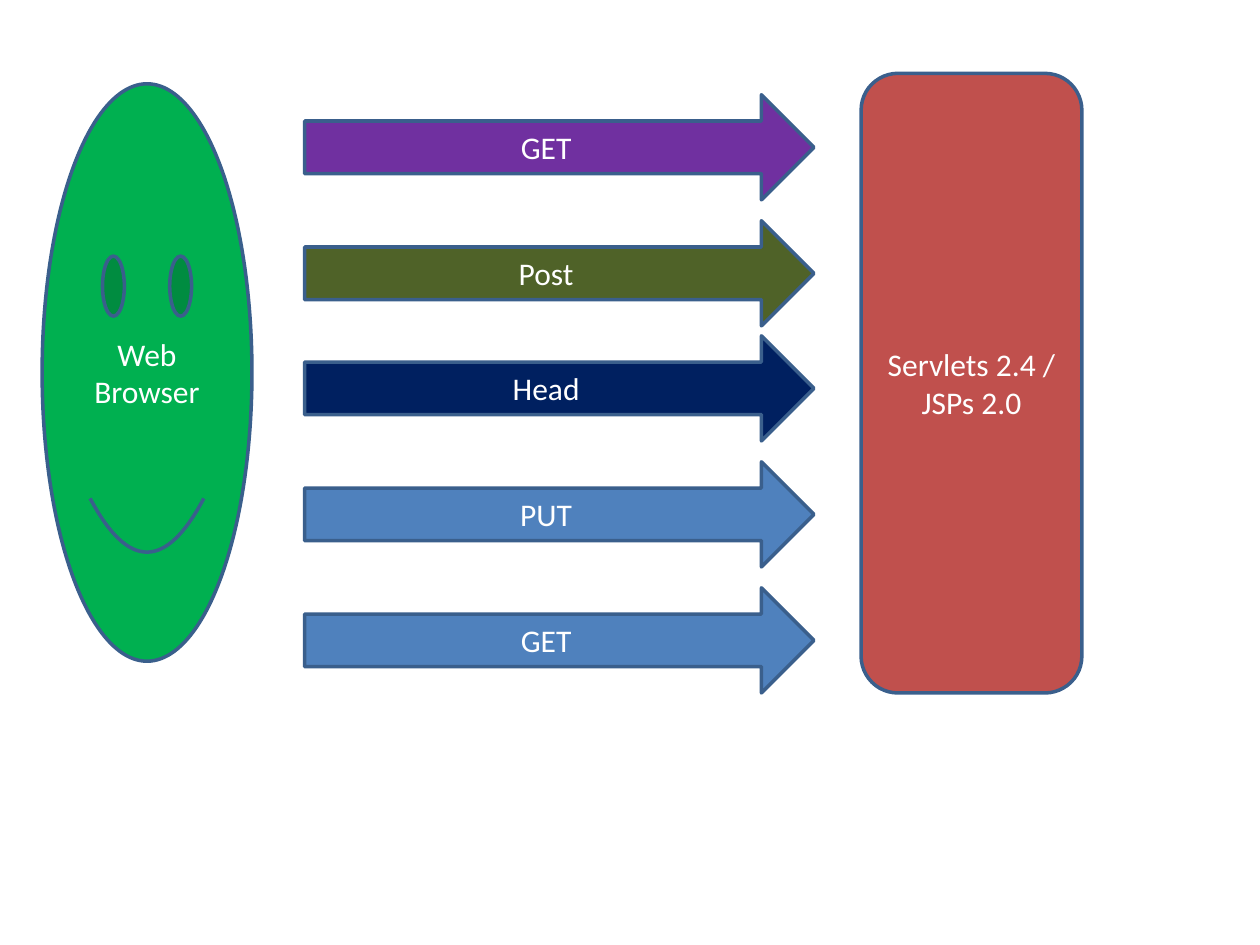
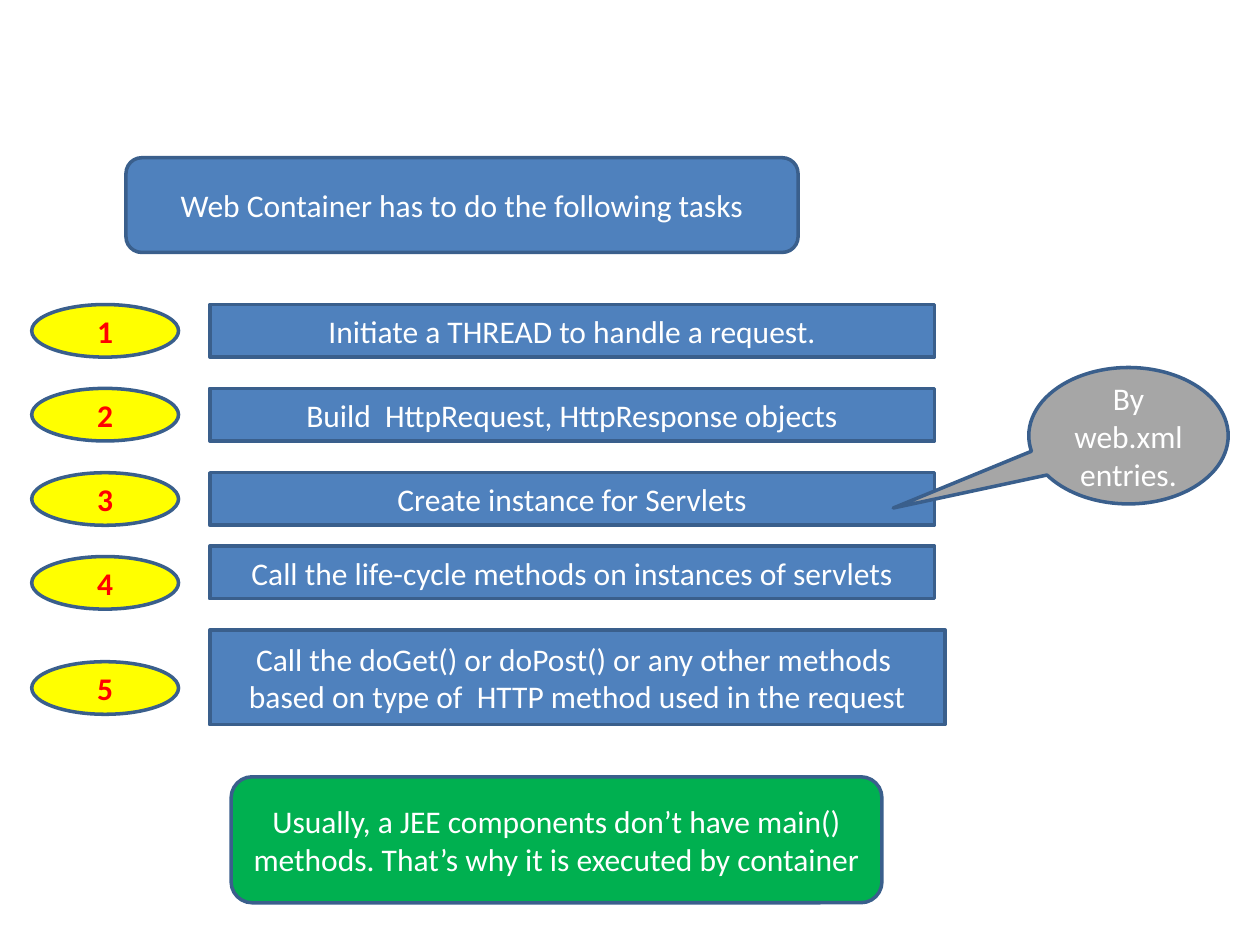
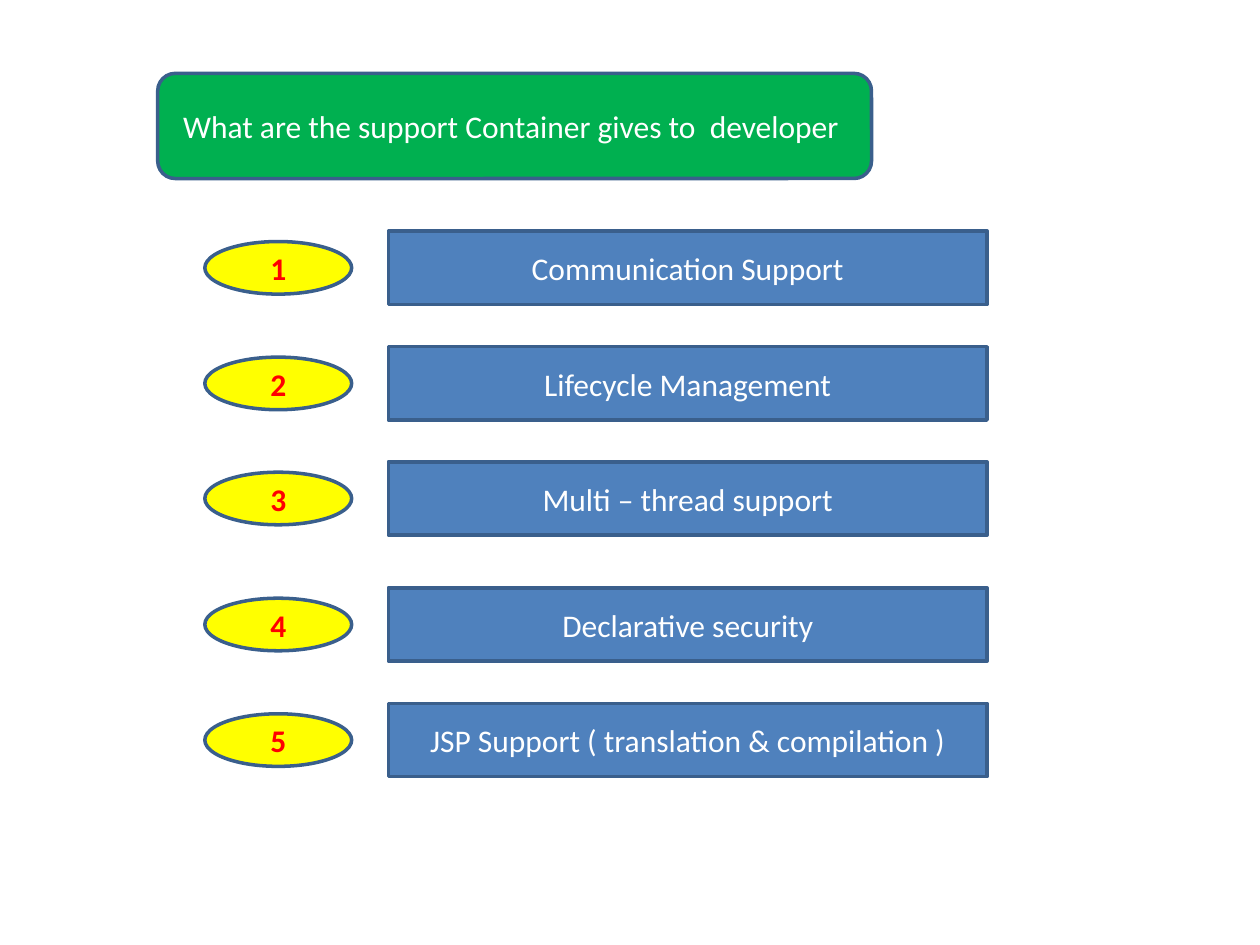
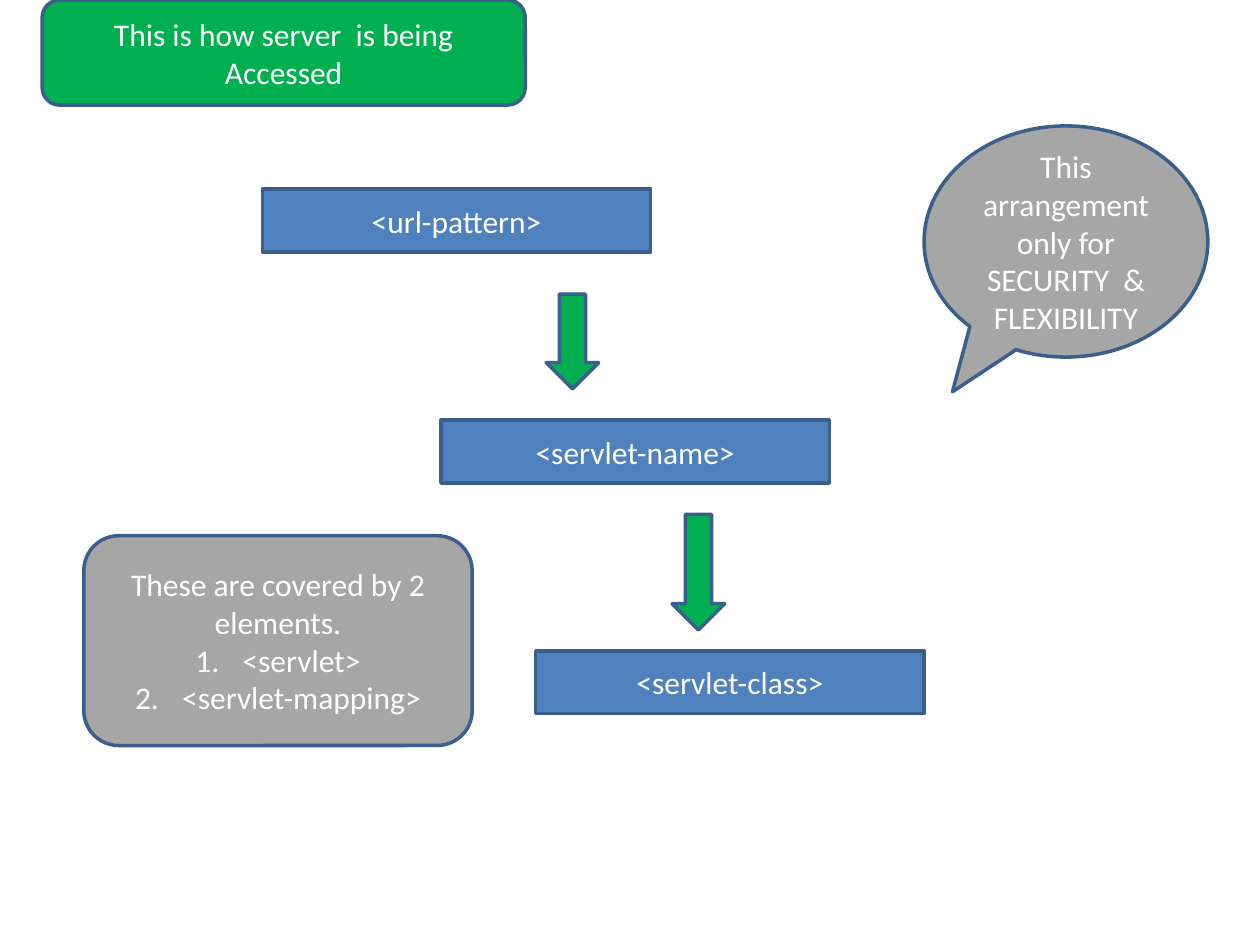
from dataclasses import dataclass

from lxml.etree import SubElement
from pptx import Presentation
from pptx.dml.color import RGBColor
from pptx.enum.shapes import MSO_SHAPE
from pptx.enum.text import MSO_ANCHOR, PP_ALIGN
from pptx.oxml.ns import qn
from pptx.slide import Slide
from pptx.text.text import _Paragraph as Paragraph
from pptx.util import Cm, Pt


@dataclass(frozen=True)
class Theme:
    blue: str = "4F81BD"
    green: str = "00B050"
    red: str = "C0504D"
    purple: str = "7030A0"
    olive: str = "4F6228"
    navy: str = "002060"
    gray: str = "A6A6A6"
    yellow: str = "FFFF00"
    outline: str = "3A5F8C"
    text: str = "FFFFFF"
    number_text: str = "FF0000"
    font: str = "Calibri"
    text_size: float = 18
    outline_width: float = 2


THEME = Theme()


@dataclass(frozen=True)
class Box:
    """A filled, outlined shape; lengths are centimetres."""
    left: float
    top: float
    width: float
    height: float
    text: str = ""
    fill: str = THEME.blue
    kind: MSO_SHAPE = MSO_SHAPE.RECTANGLE
    text_color: str = THEME.text
    bold: bool = False
    adjustments: tuple[float, ...] = ()
    numbered: tuple[str, ...] = ()


# Shared drawing functions

def number_paragraph(paragraph: Paragraph) -> None:
    properties = paragraph._p.get_or_add_pPr()
    indent = Cm(0.95)
    properties.set("marL", str(indent))
    properties.set("indent", str(-indent))
    SubElement(properties, qn("a:buAutoNum"), type="arabicPeriod")


def write_paragraph(paragraph: Paragraph, text: str, box: Box) -> None:
    paragraph.alignment = PP_ALIGN.CENTER
    run = paragraph.add_run()
    run.text = text
    run.font.name = THEME.font
    run.font.size = Pt(THEME.text_size)
    run.font.bold = box.bold
    run.font.color.rgb = RGBColor.from_string(box.text_color)


def draw_box(slide: Slide, box: Box) -> None:
    shape = slide.shapes.add_shape(
        box.kind, Cm(box.left), Cm(box.top), Cm(box.width), Cm(box.height))
    shape.shadow.inherit = False
    shape.fill.solid()
    shape.fill.fore_color.rgb = RGBColor.from_string(box.fill)
    shape.line.color.rgb = RGBColor.from_string(THEME.outline)
    shape.line.width = Pt(THEME.outline_width)
    for index, value in enumerate(box.adjustments):
        shape.adjustments[index] = value
    if not box.text:
        return
    frame = shape.text_frame
    frame.word_wrap = True
    frame.vertical_anchor = MSO_ANCHOR.MIDDLE
    write_paragraph(frame.paragraphs[0], box.text, box)
    for item in box.numbered:
        paragraph = frame.add_paragraph()
        number_paragraph(paragraph)
        write_paragraph(paragraph, item, box)


def draw_number(slide: Slide, left: float, top: float, number: int) -> None:
    draw_box(slide, Box(left, top, 2.96, 1.06, str(number), THEME.yellow,
                        MSO_SHAPE.OVAL, THEME.number_text, bold=True))


# Slide 1: request methods from browser to servlets

def build_request_methods(slide: Slide) -> None:
    draw_box(slide, Box(17.36, 1.48, 4.45, 12.49, "Servlets 2.4 / JSPs 2.0",
                        THEME.red, MSO_SHAPE.ROUNDED_RECTANGLE))
    draw_box(slide, Box(0.85, 1.69, 4.23, 11.64, "Web Browser",
                        THEME.green, MSO_SHAPE.SMILEY_FACE))
    methods = (
        (1.91, "GET", THEME.purple),
        (4.45, "Post", THEME.olive),
        (6.77, "Head", THEME.navy),
        (9.31, "PUT", THEME.blue),
        (11.85, "GET", THEME.blue),
    )
    for top, method, color in methods:
        draw_box(slide, Box(6.14, top, 10.27, 2.12, method, color,
                            MSO_SHAPE.RIGHT_ARROW))


# Slide 2: tasks of the web container

def build_container_tasks(slide: Slide) -> None:
    draw_box(slide, Box(2.54, 3.18, 13.55, 1.91,
                        "Web Container has to do the following tasks",
                        kind=MSO_SHAPE.ROUNDED_RECTANGLE))
    left, width, height = 4.23, 14.61, 1.06
    tasks = (
        Box(left, 6.14, width, height, "Initiate a THREAD to handle a request."),
        Box(left, 7.83, width, height, "Build  HttpRequest, HttpResponse objects"),
        Box(left, 9.53, width, height, "Create instance for Servlets"),
        Box(left, 11.01, width, height,
            "Call the life-cycle methods on instances of servlets"),
        Box(left, 12.7, 14.82, 1.91,
            "Call the doGet() or doPost() or any other methods  "
            "based on type of  HTTP method used in the request"),
    )
    number_tops = (6.14, 7.83, 9.53, 11.22, 13.34)
    for number, (task, top) in enumerate(zip(tasks, number_tops), start=1):
        draw_box(slide, task)
        draw_number(slide, 0.64, top, number)
    draw_box(slide, Box(20.74, 7.41, 4.02, 2.75, "By web.xml entries.", THEME.gray,
                        MSO_SHAPE.OVAL_CALLOUT, adjustments=(-1.18, 0.53)))
    draw_box(slide, Box(4.66, 15.66, 13.12, 2.54,
                        "Usually, a JEE components don’t have main() methods. "
                        "That’s why it is executed by container",
                        THEME.green, MSO_SHAPE.FLOWCHART_ALTERNATE_PROCESS))


# Slide 3: support given to the developer

def build_container_support(slide: Slide) -> None:
    draw_box(slide, Box(3.18, 1.48, 14.39, 2.12,
                        "What are the support Container gives to  developer ",
                        THEME.green, MSO_SHAPE.ROUNDED_RECTANGLE))
    supports = (
        (4.66, "Communication Support"),
        (6.99, "Lifecycle Management"),
        (9.31, "Multi – thread support"),
        (11.85, "Declarative security"),
        (14.18, "JSP Support ( translation & compilation )"),
    )
    for number, (top, support) in enumerate(supports, start=1):
        draw_box(slide, Box(7.83, top, 12.07, 1.48, support))
        draw_number(slide, 4.13, top + 0.21, number)


# Slide 4: from URL pattern to servlet class

def build_server_access(slide: Slide) -> None:
    draw_box(slide, Box(0.85, 0, 9.74, 2.12, "This is how server  is being Accessed",
                        THEME.green, MSO_SHAPE.ROUNDED_RECTANGLE))
    elements = (
        (5.29, 3.81, "<url-pattern>"),
        (8.89, 8.47, "<servlet-name>"),
        (10.8, 13.12, "<servlet-class>"),
    )
    for left, top, element in elements:
        draw_box(slide, Box(left, top, 7.83, 1.27, element))
    for left, top, height in ((11.01, 5.93, 1.91), (13.55, 10.37, 2.33)):
        draw_box(slide, Box(left, top, 1.06, height, fill=THEME.green,
                            kind=MSO_SHAPE.DOWN_ARROW))
    draw_box(slide, Box(18.63, 2.54, 5.72, 4.66,
                        "This arrangement only for SECURITY  & FLEXIBILITY", THEME.gray,
                        MSO_SHAPE.OVAL_CALLOUT, adjustments=(-0.4, 0.65)))
    draw_box(slide, Box(1.69, 10.8, 7.83, 4.23, "These are covered by 2 elements.",
                        THEME.gray, MSO_SHAPE.ROUNDED_RECTANGLE,
                        numbered=("<servlet>", "<servlet-mapping>")))


def main() -> None:
    presentation = Presentation()
    presentation.slide_width = Cm(25.4)
    presentation.slide_height = Cm(19.05)
    blank_layout = presentation.slide_layouts[6]
    for build in (build_request_methods, build_container_tasks,
                  build_container_support, build_server_access):
        build(presentation.slides.add_slide(blank_layout))
    presentation.save("out.pptx")


if __name__ == "__main__":
    main()
